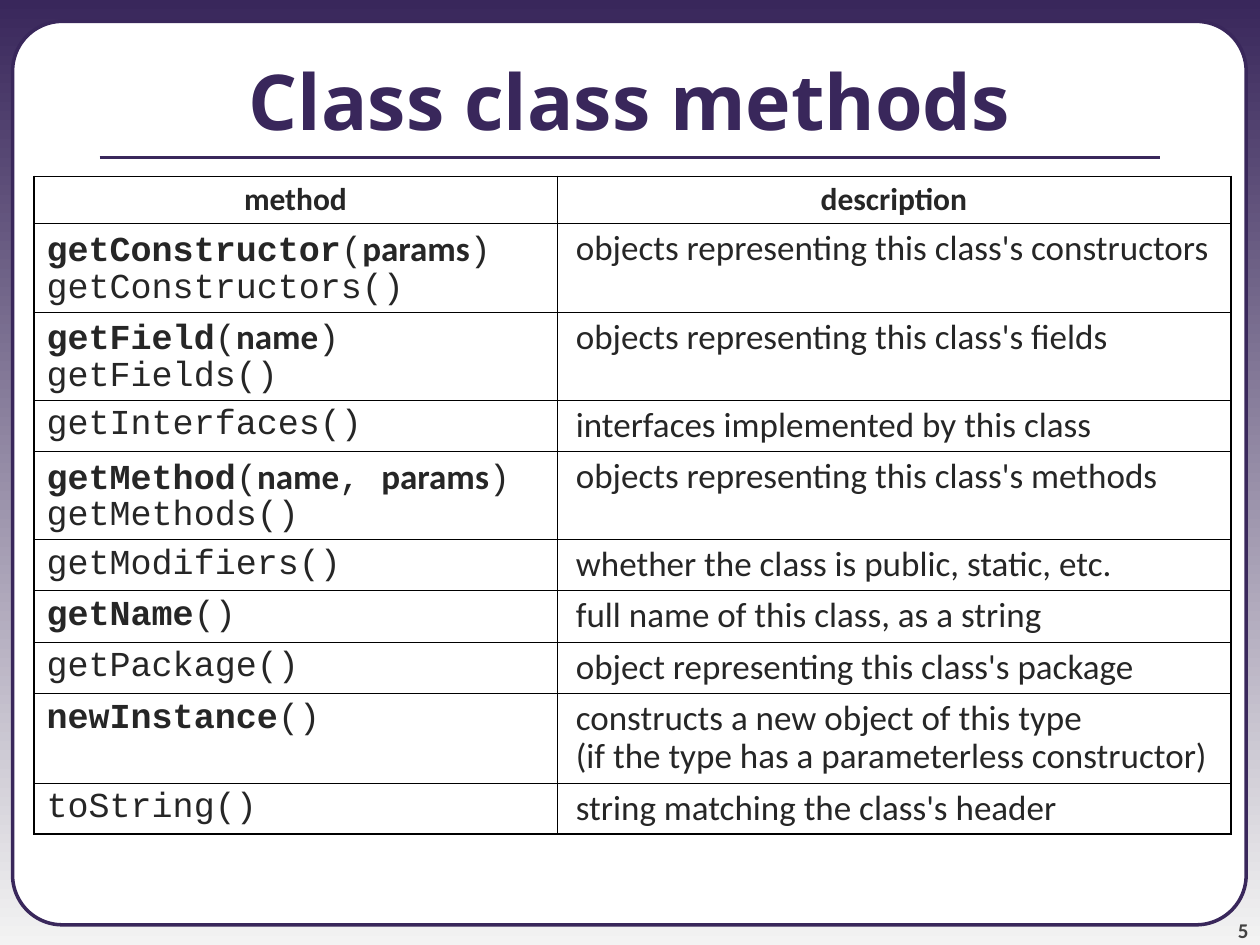
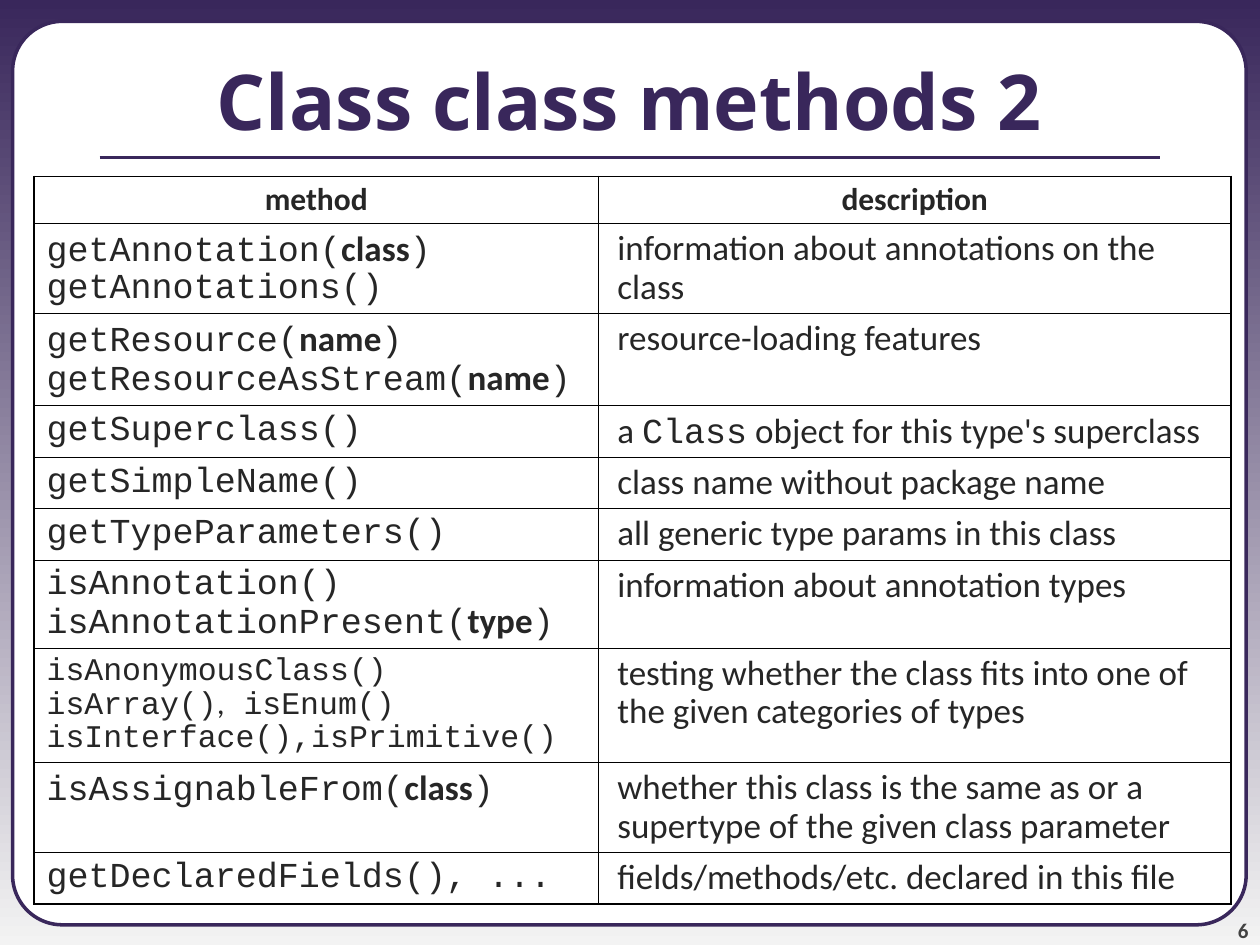
from lxml import etree
from pptx import Presentation
from pptx.dml.color import RGBColor
from pptx.enum.shapes import MSO_CONNECTOR, MSO_SHAPE
from pptx.enum.text import MSO_ANCHOR, MSO_AUTO_SIZE, PP_ALIGN
from pptx.oxml.ns import qn
from pptx.util import Pt

ROUNDED = MSO_SHAPE.ROUNDED_RECTANGLE
STRAIGHT = MSO_CONNECTOR.STRAIGHT
MIDDLE, BOTTOM = MSO_ANCHOR.MIDDLE, MSO_ANCHOR.BOTTOM
LEFT, CENTER, RIGHT = PP_ALIGN.LEFT, PP_ALIGN.CENTER, PP_ALIGN.RIGHT
NO_FIT = MSO_AUTO_SIZE.NONE

COLORS = {
    "purple": "39275B",
    "pale": "F3F3F3",
    "white": "FFFFFF",
    "text": "262626",
    "number": "424242",
    "border": "000000",
}
SANS, MONO = "Calibri", "Courier New"
STYLES = {
    "title": ({"name": "Open Sans", "size": Pt(44), "bold": True}, "purple"),
    "number": ({"name": SANS, "size": Pt(12), "bold": True}, "number"),
    "head": ({"name": SANS, "size": Pt(18), "bold": True}, "text"),
    "text": ({"name": SANS, "size": Pt(20), "bold": False}, "text"),
    "arg": ({"name": SANS, "size": Pt(20), "bold": True}, "text"),
    "code": ({"name": MONO, "size": Pt(20), "bold": False}, "text"),
    "key": ({"name": MONO, "size": Pt(20), "bold": True}, "text"),
    "small code": ({"name": MONO, "size": Pt(18), "bold": False}, "text"),
    "small text": ({"name": SANS, "size": Pt(18), "bold": False}, "text"),
}
THIN, THICK = Pt(0.45), Pt(1.08)
HEADER_HEIGHT = 27
ROW_HEIGHTS = {1: 28.8, 2: 50.4, 3: 65.52}

SLIDES = [
    ("Class class methods", (298.8, 385.2), [
        (2, [("key", "getConstructor"), ("code", "("), ("arg", "params"),
             ("code", ")\ngetConstructors()")],
         [("text", "objects representing this class's constructors")]),
        (2, [("key", "getField"), ("code", "("), ("arg", "name"),
             ("code", ")\ngetFields()")],
         [("text", "objects representing this class's fields")]),
        (1, [("code", "getInterfaces()")],
         [("text", "interfaces implemented by this class")]),
        (2, [("key", "getMethod"), ("code", "("), ("arg", "name"), ("code", ", "),
             ("arg", "params"), ("code", ")\ngetMethods()")],
         [("text", "objects representing this class's methods")]),
        (1, [("code", "getModifiers()")],
         [("text", "whether the class is public, static, etc.")]),
        (1, [("key", "getName"), ("code", "()")],
         [("text", "full name of this class, as a string")]),
        (1, [("code", "getPackage()")],
         [("text", "object representing this class's package")]),
        (2, [("key", "newInstance"), ("code", "()")],
         [("text", "constructs a new object of this type\n"
                   "(if the type has a parameterless constructor)")]),
        (1, [("code", "toString()")],
         [("text", "string matching the class's header")]),
    ]),
    ("Class class methods 2", (322.56, 361.44), [
        (2, [("code", "getAnnotation("), ("arg", "class"),
             ("code", ")\ngetAnnotations()")],
         [("text", "information about annotations on the class")]),
        (2, [("code", "getResource("), ("arg", "name"),
             ("code", ")\ngetResourceAsStream("), ("arg", "name"), ("code", ")")],
         [("text", "resource-loading features")]),
        (1, [("code", "getSuperclass()")],
         [("text", "a "), ("code", "Class"),
          ("text", " object for this type's superclass")]),
        (1, [("code", "getSimpleName()")],
         [("text", "class name without package name")]),
        (1, [("code", "getTypeParameters()")],
         [("text", "all generic type params in this class")]),
        (2, [("code", "isAnnotation()\nisAnnotationPresent("), ("arg", "type"),
             ("code", ")")],
         [("text", "information about annotation types")]),
        (3, [("small code", "isAnonymousClass()\nisArray()"), ("small text", ","),
             ("small code", " isEnum() isInterface(),isPrimitive()")],
         [("text", "testing whether the class fits into one of "
                   "the given categories of types")]),
        (2, [("code", "isAssignableFrom("), ("arg", "class"), ("code", ")")],
         [("text", "whether this class is the same as or a "
                   "supertype of the given class parameter")]),
        (1, [("code", "getDeclaredFields(), ...")],
         [("text", "fields/methods/etc. declared in this file")]),
    ]),
]


def write(p, runs, align):
    p.alignment = align
    for style, text in runs:
        values, color = STYLES[style]
        for i, line in enumerate(text.split("\n")):
            if i:
                p.add_line_break()
            r = p.add_run()
            r.text = line
            for name, value in values.items():
                setattr(r.font, name, value)
            r.font.color.rgb = RGBColor.from_string(COLORS[color])


def set_borders(cell, widths):
    tcPr = cell._tc.get_or_add_tcPr()
    for side, width in widths.items():
        ln = etree.SubElement(tcPr, qn("a:ln" + side), w=str(width))
        fill = etree.SubElement(ln, qn("a:solidFill"))
        etree.SubElement(fill, qn("a:srgbClr"), val=COLORS["border"])


prs = Presentation()
prs.slide_width, prs.slide_height = Pt(720), Pt(540)
purple = RGBColor.from_string(COLORS["purple"])

bg = prs.slide_master.background.fill
bg.gradient()
bg.gradient_angle = 270
for stop, color, position in zip(bg.gradient_stops, ("purple", "pale"), (0, 1)):
    stop.color.rgb = RGBColor.from_string(COLORS[color])
    stop.position = position

for number, (title, col_widths, rows) in enumerate(SLIDES, 5):
    s = prs.slides.add_slide(prs.slide_layouts[5])

    panel = s.shapes.add_shape(ROUNDED, Pt(7.2), Pt(12.24), Pt(704.88), Pt(516.24))
    panel.adjustments[0] = 0.055
    panel.shadow.inherit = False
    panel.fill.solid()
    panel.fill.fore_color.rgb = RGBColor.from_string(COLORS["white"])
    panel.line.color.rgb = purple
    panel.line.width = Pt(2)

    sp = s.shapes.add_textbox(Pt(653.76), Pt(509.76), Pt(59.76), Pt(28.8))
    tf = sp.text_frame
    for name in ("margin_left", "margin_top", "margin_right", "margin_bottom"):
        setattr(tf, name, 0)
    tf.word_wrap = True
    tf.vertical_anchor = BOTTOM
    write(tf.paragraphs[0], [("number", str(number))], RIGHT)

    rule = s.shapes.add_connector(STRAIGHT, Pt(56.88), Pt(90), Pt(663.12), Pt(90))
    rule.line.color.rgb = purple
    rule.line.width = Pt(2.25)
    etree.SubElement(rule._element.spPr, qn("a:effectLst"))

    sp = s.shapes.title
    sp.left, sp.top, sp.width, sp.height = 0, Pt(12.24), Pt(720), Pt(90)
    sp._element.getparent().append(sp._element)
    tf = sp.text_frame
    tf.auto_size = NO_FIT
    tf.vertical_anchor = MIDDLE
    write(tf.paragraphs[0], [("title", title)], CENTER)

    heights = [HEADER_HEIGHT] + [ROW_HEIGHTS[lines] for lines, _, _ in rows]
    table = s.shapes.add_table(len(heights), 2, Pt(19.44), Pt(100.8),
                               Pt(sum(col_widths)), Pt(sum(heights))).table
    table.first_row = table.horz_banding = False
    for col, width in zip(table.columns, col_widths):
        col.width = Pt(width)
    for row, height in zip(table.rows, heights):
        row.height = Pt(height)

    header = ([("head", "method")], [("head", "description")])
    last = len(rows)
    for i, cells in enumerate([header] + [row[1:] for row in rows]):
        for j, runs in enumerate(cells):
            cell = table.cell(i, j)
            set_borders(cell, {
                "L": THICK if j == 0 else THIN,
                "R": THICK if j == 1 else THIN,
                "T": THICK if i == 0 else THIN,
                "B": THICK if i == last else THIN,
            })
            cell.fill.background()
            cell.margin_left = Pt(10.8 if i and j else 7.2)
            p = cell.text_frame.paragraphs[0]
            p.line_spacing = 0.9
            write(p, runs, LEFT if i else CENTER)

prs.save("out.pptx")
